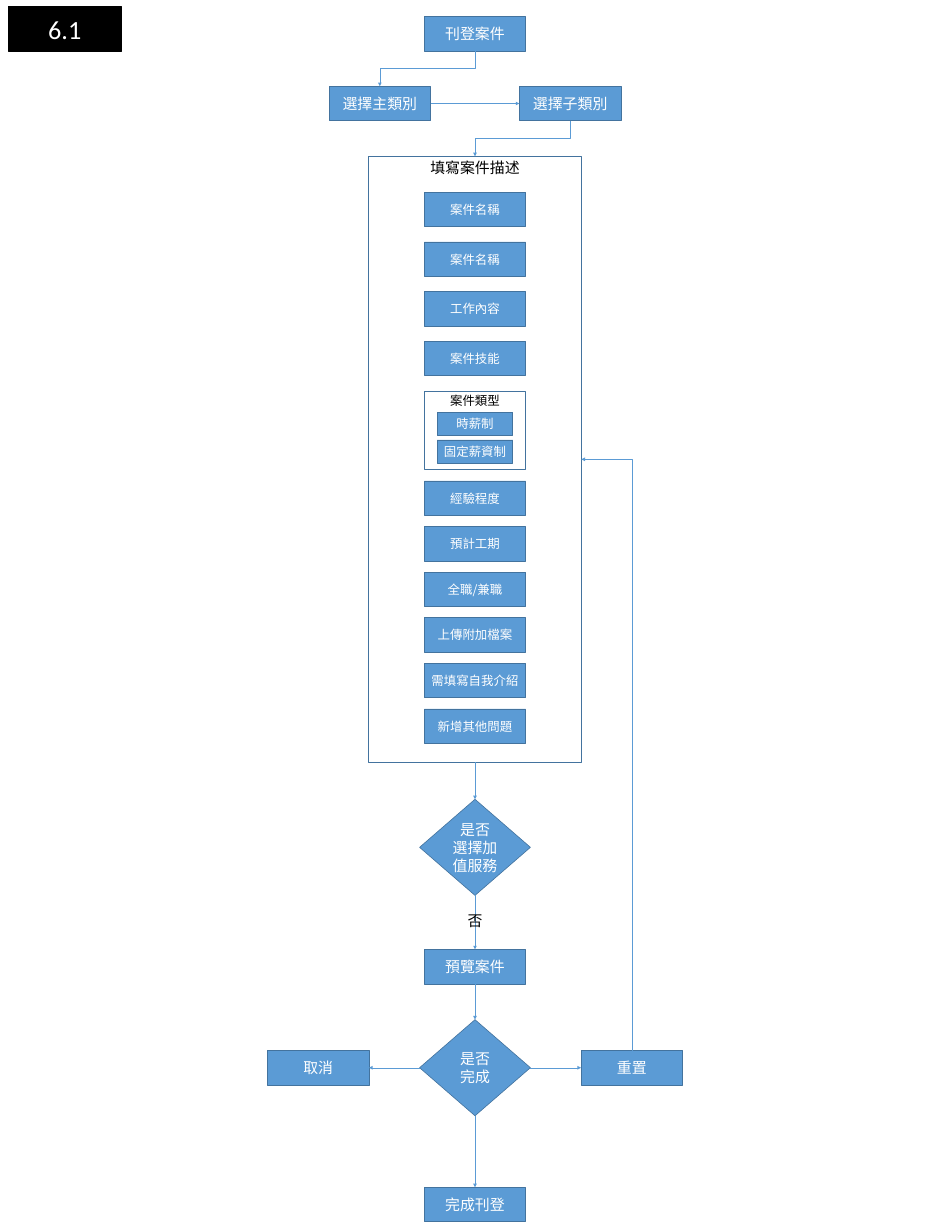
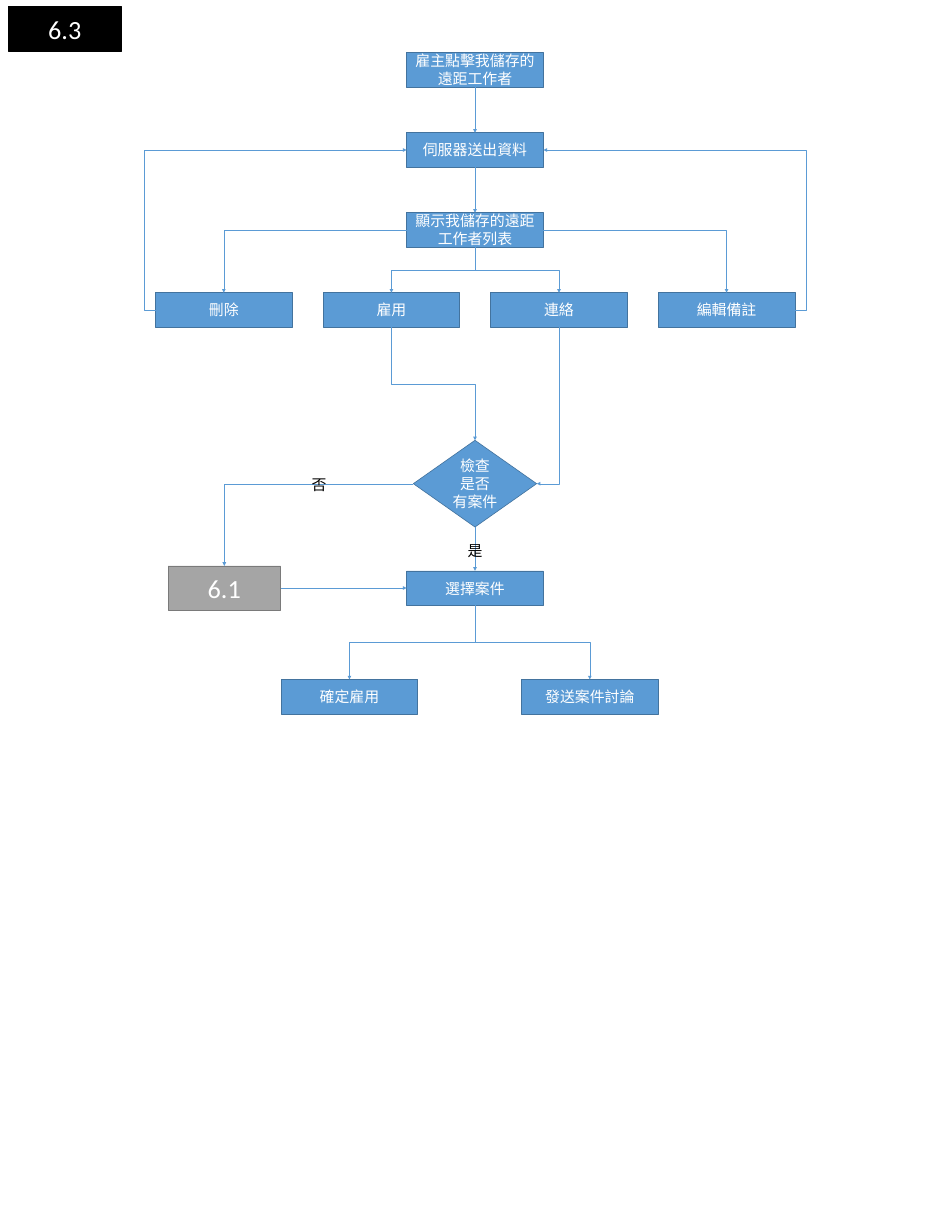
import pptx
import pptx.util
import pptx.dml.color
import pptx.enum.shapes
import pptx.enum.text
import pptx.oxml
import pptx.oxml.ns
from pptx.util import Inches

COLORS = {
    "node": "5B9BD5", "node_edge": "43739E", "black": "000000",
    "white": "FFFFFF", "gray": "A5A5A5", "gray_edge": "7A7A7A",
}
CJK_FONT = "Noto Sans CJK SC"
TAG_FONT = "Calibri"
TAG_SIZE = 42.2
TAG_WIDTH, TAG_HEIGHT = 2.52, 0.99
CENTER = 10.63
NODE_HEIGHT = 0.77
TOP, LEFT, BOTTOM, RIGHT = range(4)
SHAPES = pptx.enum.shapes.MSO_SHAPE
ANCHORS = pptx.enum.text.MSO_ANCHOR
CONNECTORS = pptx.enum.shapes.MSO_CONNECTOR
qn = pptx.oxml.ns.qn


def rgb(name):
    return pptx.dml.color.RGBColor.from_string(COLORS[name])


def add_child(parent, tag, **attributes):
    child = parent.makeelement(qn(tag), attributes)
    parent.append(child)
    return child


def write(box, text, size, color, font=CJK_FONT, anchor=ANCHORS.MIDDLE):
    frame = box.text_frame
    frame.text = text
    frame.word_wrap = True
    frame.auto_size = pptx.enum.text.MSO_AUTO_SIZE.NONE
    frame.vertical_anchor = anchor
    for para in frame.paragraphs:
        para.alignment = pptx.enum.text.PP_ALIGN.CENTER
        para.font.size = pptx.util.Pt(size)
        para.font.name = font
        para.font.color.rgb = rgb(color)
        add_child(para.font._element, "a:ea", typeface=font)


def paint(box, fill, edge):
    if fill:
        box.fill.solid()
        box.fill.fore_color.rgb = rgb(fill)
    else:
        box.fill.background()
    box.line.color.rgb = rgb(edge)
    box.line.width = pptx.util.Pt(1)


def add_block(page, kind, center, top, width, height, fill="node", edge="node_edge"):
    box = page.shapes.add_shape(kind, Inches(center - width / 2), Inches(top),
                                Inches(width), Inches(height))
    box.shadow.inherit = False
    paint(box, fill, edge)
    return box


def add_node(page, text, center, top, width, height=NODE_HEIGHT, size=24):
    box = add_block(page, SHAPES.RECTANGLE, center, top, width, height)
    write(box, text, size, "white")
    return box


def add_decision(page, text, top, width, height):
    box = add_block(page, SHAPES.DIAMOND, CENTER, top, width, height)
    write(box, text, 24, "white")
    return box


def add_panel(page, text, top, width, height, size):
    box = add_block(page, SHAPES.RECTANGLE, CENTER, top, width, height, fill=None)
    write(box, text, size, "black", anchor=ANCHORS.TOP)
    return box


def add_label(page, text, center, top):
    width = 2.27
    box = page.shapes.add_textbox(Inches(center - width / 2), Inches(top),
                                  Inches(width), Inches(NODE_HEIGHT))
    write(box, text, 24, "black")


def add_page(deck, number):
    page = deck.slides.add_slide(deck.slide_layouts[5])
    title = page.shapes.title
    title.left, title.top = Inches(0.19), Inches(0.15)
    title.width, title.height = Inches(TAG_WIDTH), Inches(TAG_HEIGHT)
    paint(title, "black", "black")
    write(title, number, TAG_SIZE, "white", TAG_FONT)
    return page


def turn_upright(link, start_x, start_y, end_x, end_y):
    across, down = end_x - start_x, end_y - start_y
    link.width, link.height = abs(down), abs(across)
    link.left = (start_x + end_x - abs(down)) // 2
    link.top = (start_y + end_y - abs(across)) // 2
    frame = link.element.spPr.find(qn("a:xfrm"))
    frame.set("rot", "5400000")
    frame.set("flipH", str(int(down < 0)))
    frame.set("flipV", str(int(across > 0)))


def connect(page, source, source_side, target, target_side):
    link = page.shapes.add_connector(CONNECTORS.ELBOW, 0, 0, 0, 0)
    link.begin_connect(source, source_side)
    link.end_connect(target, target_side)
    ends = link.begin_x, link.begin_y, link.end_x, link.end_y
    geometry = link.element.spPr.find(qn("a:prstGeom"))
    if min(link.width, link.height) < Inches(0.03):
        geometry.set("prst", "straightConnector1")
    else:
        if source_side % 2 != target_side % 2:
            geometry.set("prst", "bentConnector2")
        elif source_side == target_side:
            bend = -round(Inches(0.25) / link.width * 100000)
            guides = geometry.find(qn("a:avLst"))
            if guides is None:
                guides = add_child(geometry, "a:avLst")
            add_child(guides, "a:gd", name="adj1", fmla=f"val {bend}")
        if source_side in (TOP, BOTTOM):
            turn_upright(link, *ends)
    link.line.color.rgb = rgb("node")
    link.line.width = pptx.util.Pt(0.5)
    add_child(link.line._get_or_add_ln(), "a:tailEnd", type="triangle")
    add_child(link.element.spPr, "a:effectLst")


def build_posting(deck):
    page = add_page(deck, "6.1")
    width = 2.27
    post = add_node(page, "刊登案件", CENTER, 0.37, width)
    category = add_node(page, "選擇主類別", CENTER - 2.13, 1.93, width)
    subcategory = add_node(page, "選擇子類別", CENTER + 2.13, 1.93, width)
    form = add_panel(page, "填寫案件描述", 3.5, 4.76, 13.55, 24)

    basics = ["案件名稱", "案件名稱", "工作內容", "案件技能"]
    details = ["經驗程度", "預計工期", "全職/兼職", "上傳附加檔案", "需填寫自我介紹", "新增其他問題"]
    for fields, first, step in ((basics, 4.3, 1.11), (details, 10.76, 1.02)):
        for row, text in enumerate(fields):
            add_node(page, text, CENTER, first + row * step, width, size=20)
    add_panel(page, "案件類型", 8.75, width, 1.76, 20)
    for row, text in enumerate(["時薪制", "固定薪資制"]):
        add_node(page, text, CENTER, 9.22 + row * 0.62, 1.69, 0.52, 20)

    extras = add_decision(page, "是否\n選擇加值服務", 17.88, 2.48, 2.15)
    preview = add_node(page, "預覽案件", CENTER, 21.24, width)
    complete = add_decision(page, "是否\n完成", 22.81, 2.48, 2.15)
    cancel = add_node(page, "取消", CENTER - 3.51, 23.5, width)
    reset = add_node(page, "重置", CENTER + 3.51, 23.5, width)
    posted = add_node(page, "完成刊登", CENTER, 26.56, width)

    for source, source_side, target, target_side in (
        (post, BOTTOM, category, TOP),
        (category, RIGHT, subcategory, LEFT),
        (subcategory, BOTTOM, form, TOP),
        (form, BOTTOM, extras, TOP),
        (extras, BOTTOM, preview, TOP),
        (preview, BOTTOM, complete, TOP),
        (complete, LEFT, cancel, RIGHT),
        (complete, RIGHT, reset, LEFT),
        (reset, TOP, form, RIGHT),
        (complete, BOTTOM, posted, TOP),
    ):
        connect(page, source, source_side, target, target_side)
    add_label(page, "否", CENTER, 20.21)


def build_saved_workers(deck):
    page = add_page(deck, "6.3")
    width = 3.06
    steps = ["雇主點擊我儲存的遠距工作者", "伺服器送出資料", "顯示我儲存的遠距工作者列表"]
    click, server, listing = [
        add_node(page, text, CENTER, 1.18 + row * 1.79, width)
        for row, text in enumerate(steps)
    ]
    delete, hire, contact, edit = [
        add_node(page, text, 5.01 + column * 3.75, 6.55, width)
        for column, text in enumerate(["刪除", "雇用", "連絡", "編輯備註"])
    ]
    check = add_decision(page, "檢查\n是否\n有案件", 9.85, 2.76, 1.94)
    choose = add_node(page, "選擇案件", CENTER, 12.77, width)
    posting = add_block(page, SHAPES.RECTANGLE, 5.02, 12.66, TAG_WIDTH, TAG_HEIGHT,
                        "gray", "gray_edge")
    write(posting, "6.1", TAG_SIZE, "white", TAG_FONT)
    confirm = add_node(page, "確定雇用", 7.82, 15.2, width)
    discuss = add_node(page, "發送案件討論", 13.2, 15.2, width)

    for source, source_side, target, target_side in (
        (click, BOTTOM, server, TOP),
        (server, BOTTOM, listing, TOP),
        (listing, LEFT, delete, TOP),
        (listing, BOTTOM, hire, TOP),
        (listing, BOTTOM, contact, TOP),
        (listing, RIGHT, edit, TOP),
        (delete, LEFT, server, LEFT),
        (edit, RIGHT, server, RIGHT),
        (hire, BOTTOM, check, TOP),
        (contact, BOTTOM, check, RIGHT),
        (check, LEFT, posting, TOP),
        (check, BOTTOM, choose, TOP),
        (posting, RIGHT, choose, LEFT),
        (choose, BOTTOM, confirm, TOP),
        (choose, BOTTOM, discuss, TOP),
    ):
        connect(page, source, source_side, target, target_side)
    add_label(page, "否", 7.14, 10.45)
    add_label(page, "是", CENTER, 11.92)


def main():
    deck = pptx.Presentation()
    deck.slide_width, deck.slide_height = Inches(21.26), Inches(27.56)
    build_posting(deck)
    build_saved_workers(deck)
    deck.save("out.pptx")


main()
